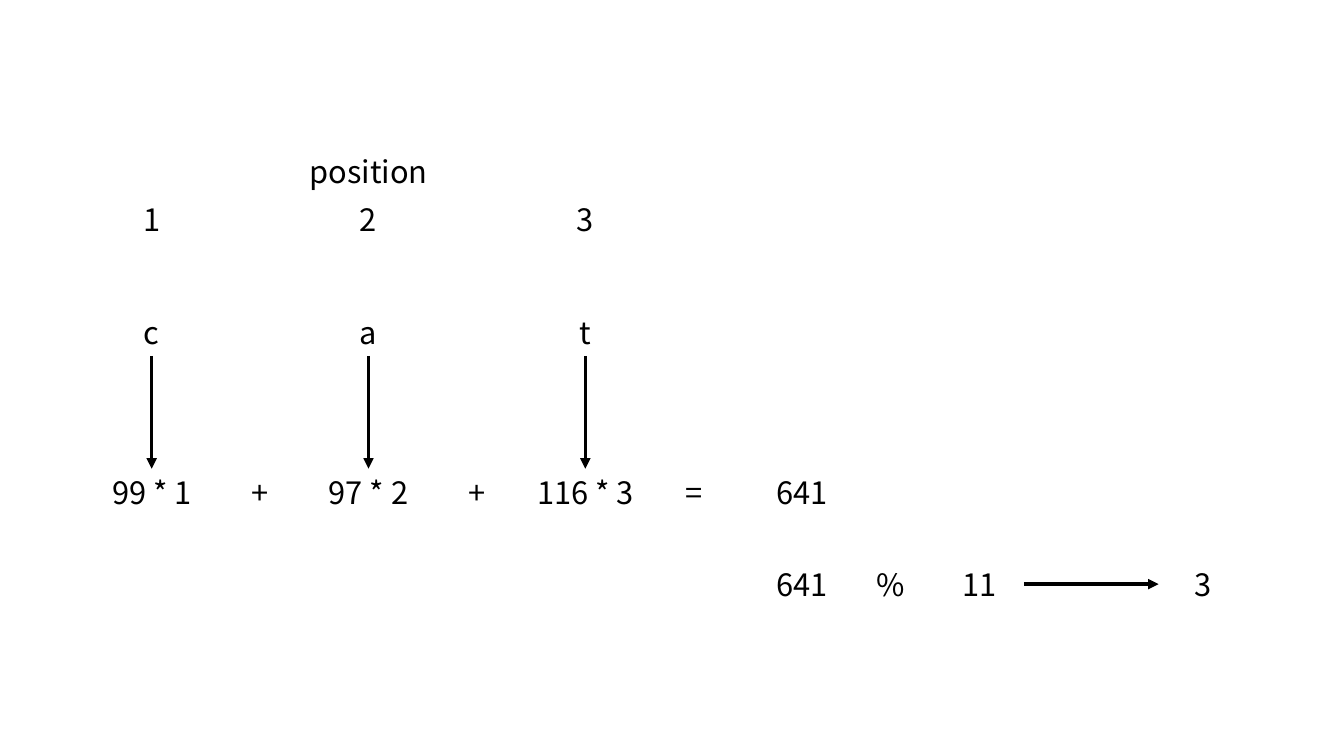
import dataclasses

import pptx
import pptx.dml.color
import pptx.enum.shapes
import pptx.enum.text
import pptx.util
from lxml import etree
from pptx.oxml.ns import qn


@dataclasses.dataclass(frozen=True)
class Theme:
    font: str = "Noto Sans CJK KR"
    size: float = 22
    ink: str = "000000"
    line: float = 2.5


class HashSlide:
    """Places labels by the centre of a grid column and a named row, in inches."""

    LEFT, PITCH = 1.505, 1.075
    CELL_W, CELL_H = 0.88, 0.47
    ROWS = {"heading": 1.47, "position": 1.94, "letter": 3.06, "sum": 4.65, "modulo": 5.56}

    def __init__(self, slide, theme):
        self.s = slide
        self.theme = theme
        self.ink = pptx.dml.color.RGBColor.from_string(theme.ink)

    def x(self, col):
        return self.LEFT + self.PITCH * col

    def label(self, text, col, row, width=CELL_W):
        box = (self.x(col) - width / 2, self.ROWS[row], width, self.CELL_H)
        tf = self.s.shapes.add_textbox(*map(pptx.util.Inches, box)).text_frame
        tf.word_wrap = True
        tf.auto_size = pptx.enum.text.MSO_AUTO_SIZE.SHAPE_TO_FIT_TEXT
        p = tf.paragraphs[0]
        p.text = text
        p.alignment = pptx.enum.text.PP_ALIGN.CENTER
        p.font.name = self.theme.font
        p.font.size = pptx.util.Pt(self.theme.size)
        p.font.color.rgb = self.ink

    def arrow(self, *ends):
        line = self.s.shapes.add_connector(
            pptx.enum.shapes.MSO_CONNECTOR.STRAIGHT, *map(pptx.util.Inches, ends))
        line.line.color.rgb = self.ink
        line.line.width = pptx.util.Pt(self.theme.line)
        etree.SubElement(line.line._get_or_add_ln(), qn("a:tailEnd"), type="triangle")
        etree.SubElement(line._element.spPr, qn("a:effectLst"))

    def arrow_down(self, col, start_row, end_row):
        x = self.x(col)
        self.arrow(x, self.ROWS[start_row] + self.CELL_H, x, self.ROWS[end_row])

    def arrow_right(self, start_col, end_col, row):
        """Joins the facing edges of two cells in one row."""
        y = self.ROWS[row] + self.CELL_H / 2
        half = self.CELL_W / 2
        self.arrow(self.x(start_col) + half, y, self.x(end_col) - half, y)


def main():
    prs = pptx.Presentation()
    prs.slide_width = pptx.util.Inches(13.33)
    prs.slide_height = pptx.util.Inches(7.5)
    s = HashSlide(prs.slides.add_slide(prs.slide_layouts[6]), Theme())

    s.label("position", 2, "heading", 1.58)
    products = [("c", "99 * 1", 1.08, "+"), ("a", "97 * 2", 1.08, "+"), ("t", "116 * 3", 1.28, "=")]
    for i, (letter, product, width, sign) in enumerate(products):
        col = 2 * i
        s.label(str(i + 1), col, "position")
        s.label(letter, col, "letter")
        s.arrow_down(col, "letter", "sum")
        s.label(product, col, "sum", width)
        s.label(sign, col + 1, "sum")

    total_col = 2 * len(products)
    s.label("641", total_col, "sum")
    step = s.CELL_W / s.PITCH
    for i, text in enumerate(["641", "%", "11"]):
        s.label(text, total_col + i * step, "modulo")
    result_col = 9.7
    s.arrow_right(total_col + 2 * step, result_col, "modulo")
    s.label("3", result_col, "modulo")

    prs.save("out.pptx")


if __name__ == "__main__":
    main()
